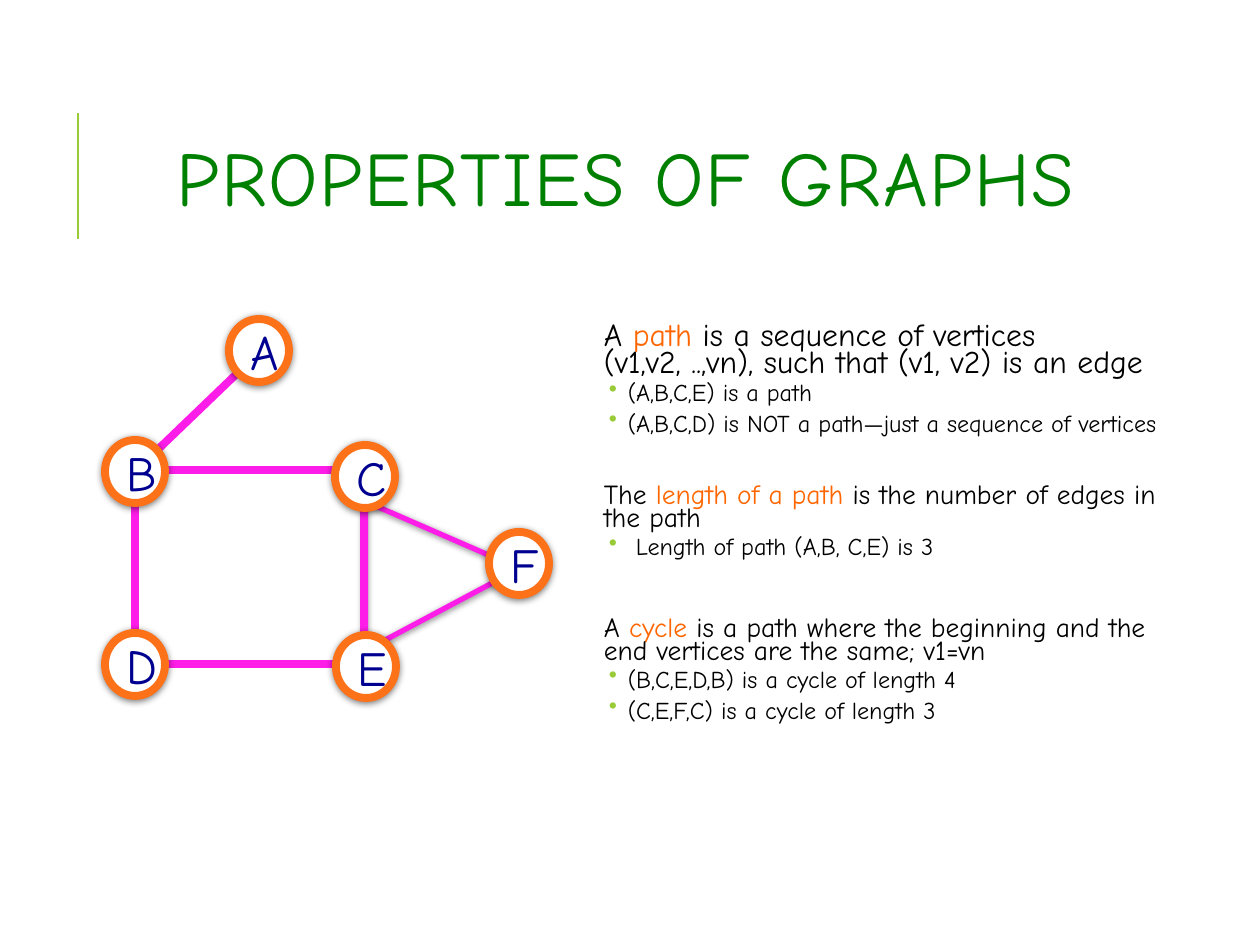
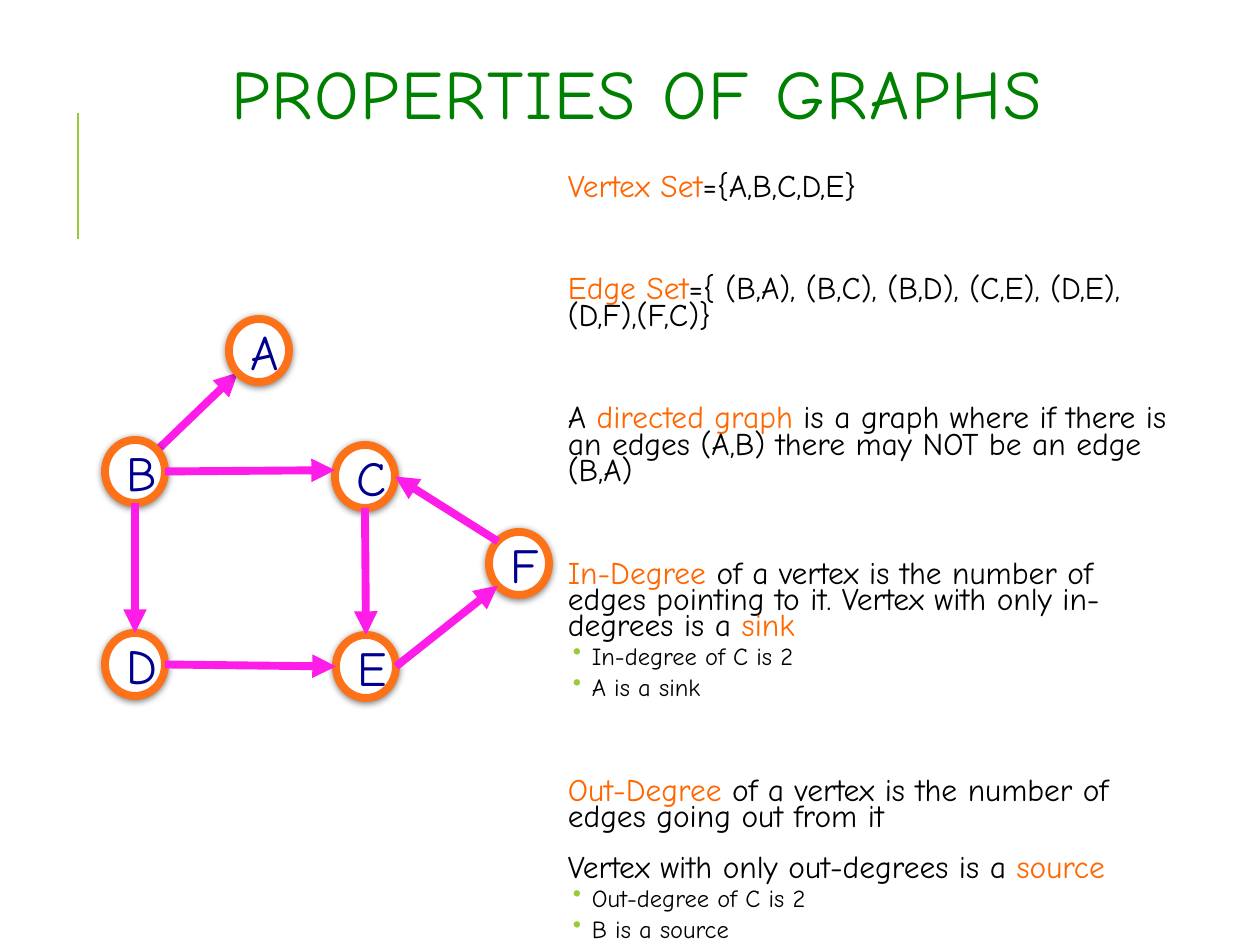
"""Build two slides on the properties of graphs."""
from lxml import etree
from pptx import Presentation, util as u
from pptx.dml.color import RGBColor
from pptx.enum import shapes, text
from pptx.oxml import ns

PX = 914400 / 126
FONT = "Comic Neue"
GREEN, LIME, BLACK, NAVY = "008000", "99CB38", "000000", "000090"
ORANGE, RING, PINK, WHITE = "FF6600", "FD7119", "FD1CE8", "FFFFFF"

ACCENT = (78, 239, 78, 113)
TITLE = "PROPERTIES OF GRAPHS"
TITLE_INSET = 49
VERTEX_SIZE = (60, 63)
VERTICES = {"C": (335, 445), "B": (105, 440), "D": (105, 633),
            "E": (336, 635), "F": (489, 532), "A": (229, 319)}
SITES = {"middle": (.5, .5), "top": (.5, 0), "bottom": (.5, 1), "left": (0, .5),
         "right": (1, .5), "upper left": (.15, .15), "lower left": (.15, .85),
         "left above": (0, .4)}
BRANCH = ("B", "middle", "A", "lower left")
ARROWS = [("B", "right", "C", "left above"), ("B", "bottom", "D", "top"),
          ("D", "right", "E", "left"), ("C", "bottom", "E", "top"),
          ("F", "upper left", "C", "right"), ("E", "right", "F", "lower left")]
SQUARE_CYCLE = (135, 470, 229, 194)
TRIANGLE_CYCLE = (368, 499, 149, 154)

# Statements: level, size, space before, wording with *key terms*.
PATH_NOTES = [
    (0, 18.1, 12, "A *path* is a sequence of vertices (v1,v2, ..,vn), such that (v1, v2) is an edge"),
    (1, 13.8, 2, "(A,B,C,E) is a path"),
    (1, 13.8, 2, "(A,B,C,D) is NOT a path—just a sequence of vertices"),
    (0, 15.7, 24.5, "The *length of a path* is the number of edges in the path"),
    (1, 13.8, 2, " Length of path (A,B, C,E) is 3"),
    (0, 15.7, 29.8, "A *cycle* is a path where the beginning and the end vertices are the same; v1=vn"),
    (1, 13.8, 2, "(B,C,E,D,B) is a cycle of length 4"),
    (1, 13.8, 2, "(C,E,F,C) is a cycle of length 3"),
]
DIRECTED_NOTES = [
    (0, 18, 12, "*Vertex Set*={A,B,C,D,E}"),
    (0, 18, 41.4, "*Edge Set*={ (B,A), (B,C), (B,D), (C,E), (D,E), (D,F),(F,C)}"),
    (0, 18, 41.4, "A *directed graph* is a graph where if there is an edges (A,B) there may NOT be an edge (B,A)"),
    (0, 18, 41.4, "*In-Degree* of a vertex is the number of edges pointing to it. "
                  "Vertex with only in-degrees is a *sink*"),
    (1, 14, 2, "In-degree of C is 2"),
    (1, 14, 2, "A is a sink"),
    (0, 18, 41.4, "*Out-Degree* of a vertex is the number of edges going out from it"),
    (0, 18, 12, "Vertex with only out-degrees is a *source*"),
    (1, 14, 2, "Out-degree of C is 2"),
    (1, 14, 2, "B is a source"),
]
SLIDES = [
    dict(title_box=(106, 81, 1004, 207), title_size=44, directed=False,
         notes_box=(585, 319, 593, 481), notes=PATH_NOTES),
    dict(title_box=(135, 21, 968, 158), title_size=39.6, directed=True,
         notes_box=(549, 170, 629, 549), notes=DIRECTED_NOTES),
]


def px(*lengths):
    return [u.Emu(round(length * PX)) for length in lengths]


def color(value):
    return RGBColor.from_string(value)


def assign(target, **values):
    for name, value in values.items():
        setattr(target, name, value)


def add_xml(parent, tag, **attributes):
    return etree.SubElement(parent, ns.qn(tag), attributes)


def write(paragraph, wording, size, ink):
    for index, part in enumerate(wording.split("*")):
        if part:
            run = paragraph.add_run()
            run.text = part
            assign(run.font, name=FONT, size=u.Pt(size), bold=False)
            run.font.color.rgb = color(ORANGE if index % 2 else ink)


def stroke(line, ink, width):
    line.color.rgb = color(ink)
    line.width = u.Pt(width)


def add_line(slide, ends, ink, width, arrow=False):
    link = slide.shapes.add_connector(shapes.MSO_CONNECTOR.STRAIGHT, *px(*ends))
    stroke(link.line, ink, width)
    properties = link._element.spPr
    if arrow:
        add_xml(properties.find(ns.qn("a:ln")), "a:tailEnd", type="triangle")
    add_xml(properties, "a:effectLst")


def add_edge(slide, edge, arrow):
    ends = []
    for vertex, site in (edge[:2], edge[2:]):
        ends += [start + size * part for start, size, part
                 in zip(VERTICES[vertex], VERTEX_SIZE, SITES[site])]
    add_line(slide, ends, PINK, 4.5, arrow)


def add_outline(slide, kind, box, ink, width, fill=None, shadow=True):
    outline = slide.shapes.add_shape(kind, *px(*box))
    outline.shadow.inherit = False
    if fill:
        outline.fill.solid()
        outline.fill.fore_color.rgb = color(fill)
    else:
        outline.fill.background()
    stroke(outline.line, ink, width)
    if shadow:
        effects = outline._element.spPr.find(ns.qn("a:effectLst"))
        cast = add_xml(effects, "a:outerShdw", blurRad=str(u.Pt(4)), dist=str(u.Pt(1)),
                       dir="5400000", rotWithShape="0")
        add_xml(add_xml(cast, "a:srgbClr", val=BLACK), "a:alpha", val="50000")
    return outline


def add_graph(slide, directed):
    kinds = shapes.MSO_SHAPE
    add_edge(slide, BRANCH, directed)
    if not directed:
        triangle = add_outline(slide, kinds.ISOSCELES_TRIANGLE, TRIANGLE_CYCLE, PINK, 3)
        triangle.rotation = 90
        triangle.adjustments[0] = .45
        add_outline(slide, kinds.RECTANGLE, SQUARE_CYCLE, PINK, 4.5, shadow=False)
    for name, corner in VERTICES.items():
        vertex = add_outline(slide, kinds.OVAL, corner + VERTEX_SIZE, RING, 4.5, WHITE)
        vertex.text_frame.vertical_anchor = text.MSO_ANCHOR.MIDDLE
        label = vertex.text_frame.paragraphs[0]
        label.alignment = text.PP_ALIGN.CENTER
        write(label, name, 28, NAVY)
    if directed:
        for edge in ARROWS:
            add_edge(slide, edge, True)


def add_title(slide, box, size):
    title = slide.shapes.title
    assign(title, **dict(zip(("left", "top", "width", "height"), px(*box))))
    assign(title.text_frame, word_wrap=True, auto_size=text.MSO_AUTO_SIZE.NONE,
           vertical_anchor=text.MSO_ANCHOR.MIDDLE, margin_left=px(TITLE_INSET)[0])
    heading = title.text_frame.paragraphs[0]
    assign(heading, alignment=text.PP_ALIGN.CENTER, line_spacing=.8)
    write(heading, TITLE, size, GREEN)
    heading.runs[0]._r.get_or_add_rPr().set("spc", "100")


def add_notes(slide, box, notes):
    frame = slide.shapes.add_textbox(*px(*box)).text_frame
    inset = u.Inches(.05)
    assign(frame, word_wrap=True, margin_left=inset, margin_right=inset,
           margin_top=inset, margin_bottom=inset)
    for index, (level, size, before, wording) in enumerate(notes):
        note = frame.add_paragraph() if index else frame.paragraphs[0]
        assign(note, level=level, line_spacing=.7, space_before=u.Pt(before),
               space_after=u.Pt(4 if level else 2))
        properties = note._p.get_or_add_pPr()
        properties.set("marL", str(u.Inches(.29 if level else .1)))
        properties.set("indent", str(u.Inches(-.15 if level else 0)))
        if level:
            add_xml(add_xml(properties, "a:buClr"), "a:srgbClr", val=LIME)
            add_xml(properties, "a:buChar", char="•")
        write(note, wording, size, BLACK)


def main():
    deck = Presentation()
    assign(deck, slide_width=u.Inches(10), slide_height=u.Inches(7.5))
    for content in SLIDES:
        slide = deck.slides.add_slide(deck.slide_layouts[5])
        add_line(slide, ACCENT, LIME, 1.5)
        add_title(slide, content["title_box"], content["title_size"])
        add_notes(slide, content["notes_box"], content["notes"])
        add_graph(slide, content["directed"])
    deck.save("out.pptx")


if __name__ == "__main__":
    main()
